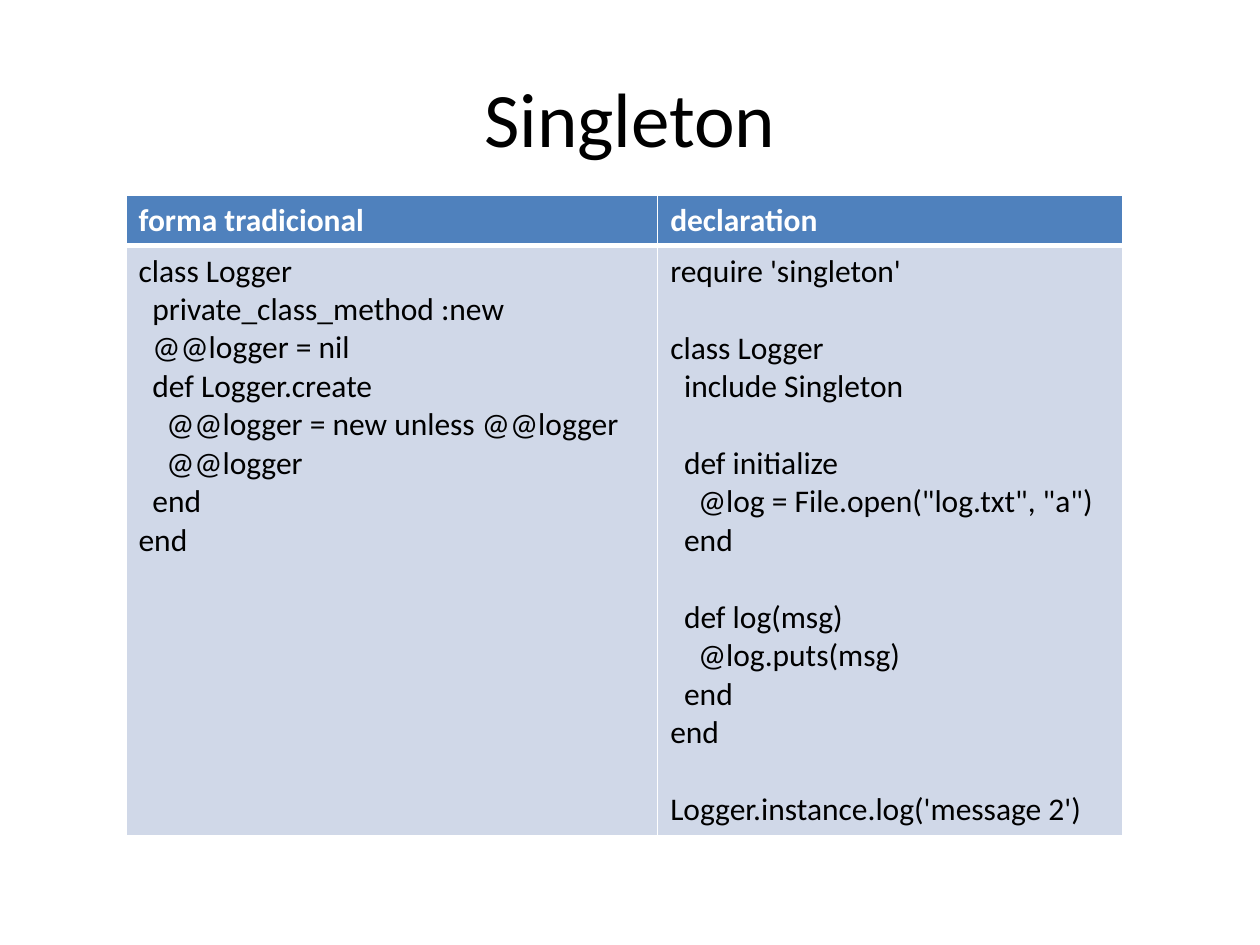
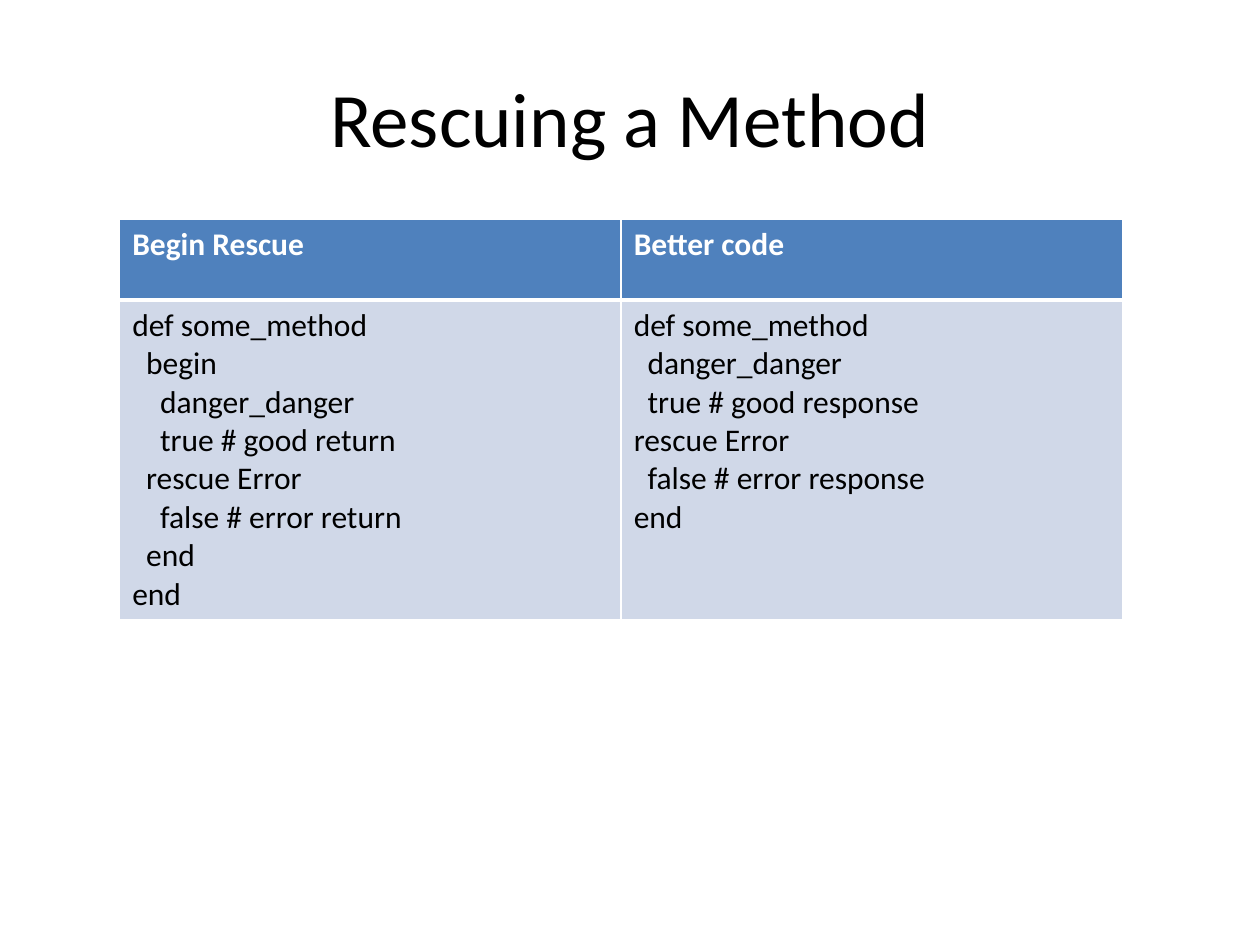
from lxml import etree
from pptx import Presentation
from pptx.dml.color import RGBColor
from pptx.enum.text import MSO_ANCHOR, PP_ALIGN
from pptx.oxml.ns import qn
from pptx.util import Inches, Pt

CENTER = PP_ALIGN.CENTER
MIDDLE = MSO_ANCHOR.MIDDLE

COLORS = {"header": "4F81BD", "body": "D0D8E8", "border": "FFFFFF",
          "light": "FFFFFF", "dark": "000000"}
FONT = "Calibri"
TITLE_BOX = (0.5, 0.3, 9, 1.25)
TITLE = {"size": Pt(44), "bold": False}
HEADER = {"size": Pt(18), "bold": True}
CODE = {"size": Pt(18), "bold": False}
HEADER_BORDERS = {"L": 1, "R": 1, "T": 1, "B": 3}
CODE_BORDERS = {"L": 1, "R": 1, "T": 3, "B": 1}
CODE_INDENT = Inches(0.11)
BLANK_LINE = Pt(22)

SINGLETON_CLASSIC = """\
class Logger
  private_class_method :new
  @@logger = nil
  def Logger.create
    @@logger = new unless @@logger
    @@logger
  end
end"""

SINGLETON_DECLARED = """\
require 'singleton'

class Logger
  include Singleton

  def initialize
    @log = File.open("log.txt", "a")
  end

  def log(msg)
    @log.puts(msg)
  end
end

Logger.instance.log('message 2')"""

BEGIN_RESCUE = """\
def some_method
  begin
    danger_danger
    true # good return
  rescue Error
    false # error return
  end
end"""

BETTER_CODE = """\
def some_method
  danger_danger
  true # good response
rescue Error
  false # error response
end"""

SLIDES = [
    {"title": "Singleton", "at": (1, 1.55),
     "widths": (4.22, 3.69), "heights": (0.4, 4.68),
     "columns": [("forma tradicional", SINGLETON_CLASSIC),
                 ("declaration", SINGLETON_DECLARED)]},
    {"title": "Rescuing a Method", "at": (0.95, 1.74),
     "widths": (3.98, 3.98), "heights": (0.64, 2.54),
     "columns": [("Begin Rescue", BEGIN_RESCUE),
                 ("Better code", BETTER_CODE)]},
]


def add_run(p, text, style, color):
    """Add a run in the shared font with the given style and colour."""
    r = p.add_run()
    r.text = text
    r.font.name = FONT
    r.font.color.rgb = RGBColor.from_string(COLORS[color])
    for name, value in style.items():
        setattr(r.font, name, value)


def add_title(s, text, box):
    """Place a centred slide title in the box."""
    tf = s.shapes.add_textbox(*map(Inches, box)).text_frame
    tf.word_wrap = True
    tf.vertical_anchor = MIDDLE
    p = tf.paragraphs[0]
    p.alignment = CENTER
    add_run(p, text, TITLE, "title" if "title" in COLORS else "dark")


def format_cell(cell, fill, borders):
    """Give a cell its borders, in points per side, and its fill."""
    tc_pr = cell._tc.get_or_add_tcPr()
    for side, width in borders.items():
        ln = etree.SubElement(tc_pr, qn(f"a:ln{side}"), w=str(Pt(width)))
        solid = etree.SubElement(ln, qn("a:solidFill"))
        etree.SubElement(solid, qn("a:srgbClr"), val=COLORS["border"])
    cell.fill.solid()
    cell.fill.fore_color.rgb = RGBColor.from_string(COLORS[fill])


def write_code(tf, code):
    """Write code lines, turning indentation and blank lines into spacing."""
    p = tf.paragraphs[0]
    gap = False
    for i, line in enumerate(code.splitlines()):
        text = line.lstrip()
        if not text:
            gap = True
            continue
        if i:
            p = tf.add_paragraph()
        if gap:
            p.space_before = BLANK_LINE
            gap = False
        level = (len(line) - len(text)) // 2
        p._p.get_or_add_pPr().set("marL", str(level * CODE_INDENT))
        add_run(p, text, CODE, "dark")


def add_code_table(s, columns, at, widths, heights):
    """Place a table that compares code samples under their headings."""
    box = (*at, sum(widths), sum(heights))
    table = s.shapes.add_table(2, len(columns), *map(Inches, box)).table
    for row, height in zip(table.rows, heights):
        row.height = Inches(height)
    for i, (heading, code) in enumerate(columns):
        table.columns[i].width = Inches(widths[i])
        head, body = table.cell(0, i), table.cell(1, i)
        format_cell(head, "header", HEADER_BORDERS)
        add_run(head.text_frame.paragraphs[0], heading, HEADER, "light")
        format_cell(body, "body", CODE_BORDERS)
        write_code(body.text_frame, code)


def main():
    """Build the code comparison slides."""
    prs = Presentation()
    prs.slide_width, prs.slide_height = Inches(10), Inches(7.5)
    for content in SLIDES:
        s = prs.slides.add_slide(prs.slide_layouts[6])
        add_title(s, content["title"], TITLE_BOX)
        add_code_table(s, content["columns"], content["at"],
                       content["widths"], content["heights"])
    prs.save("out.pptx")


if __name__ == "__main__":
    main()
